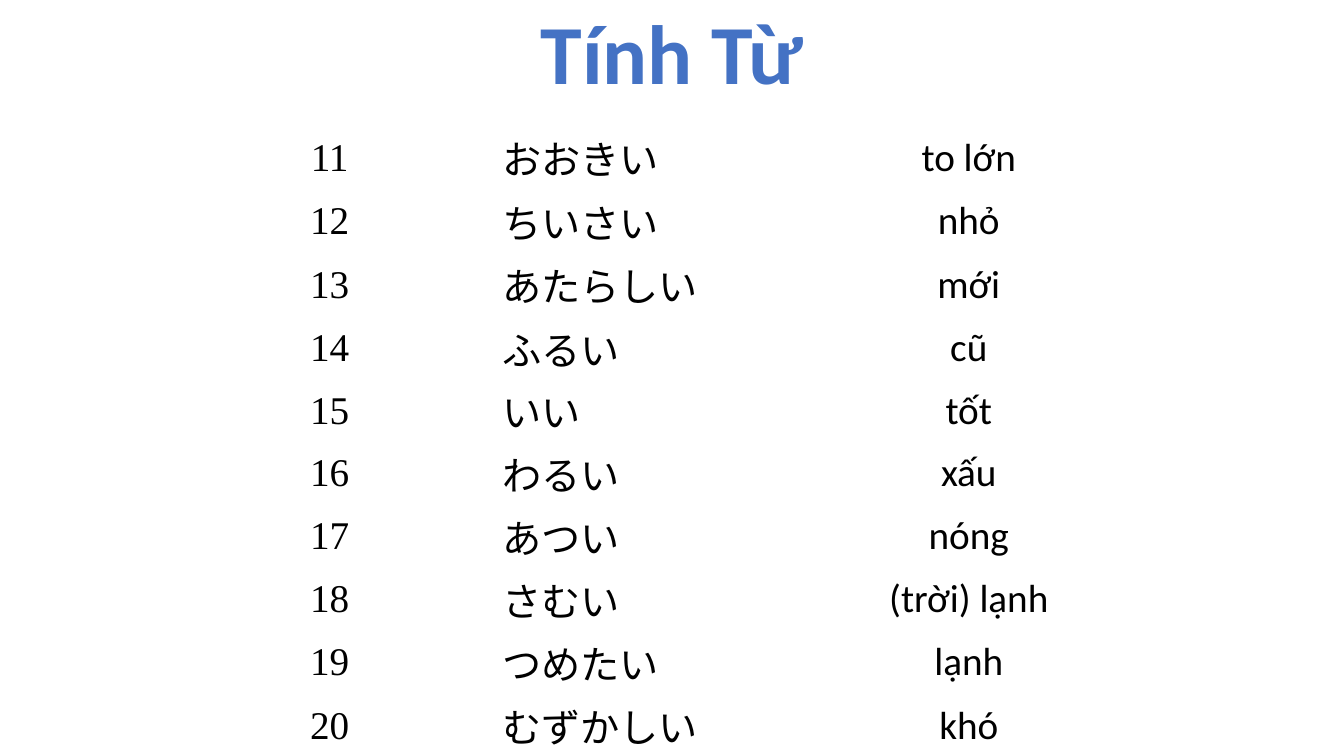
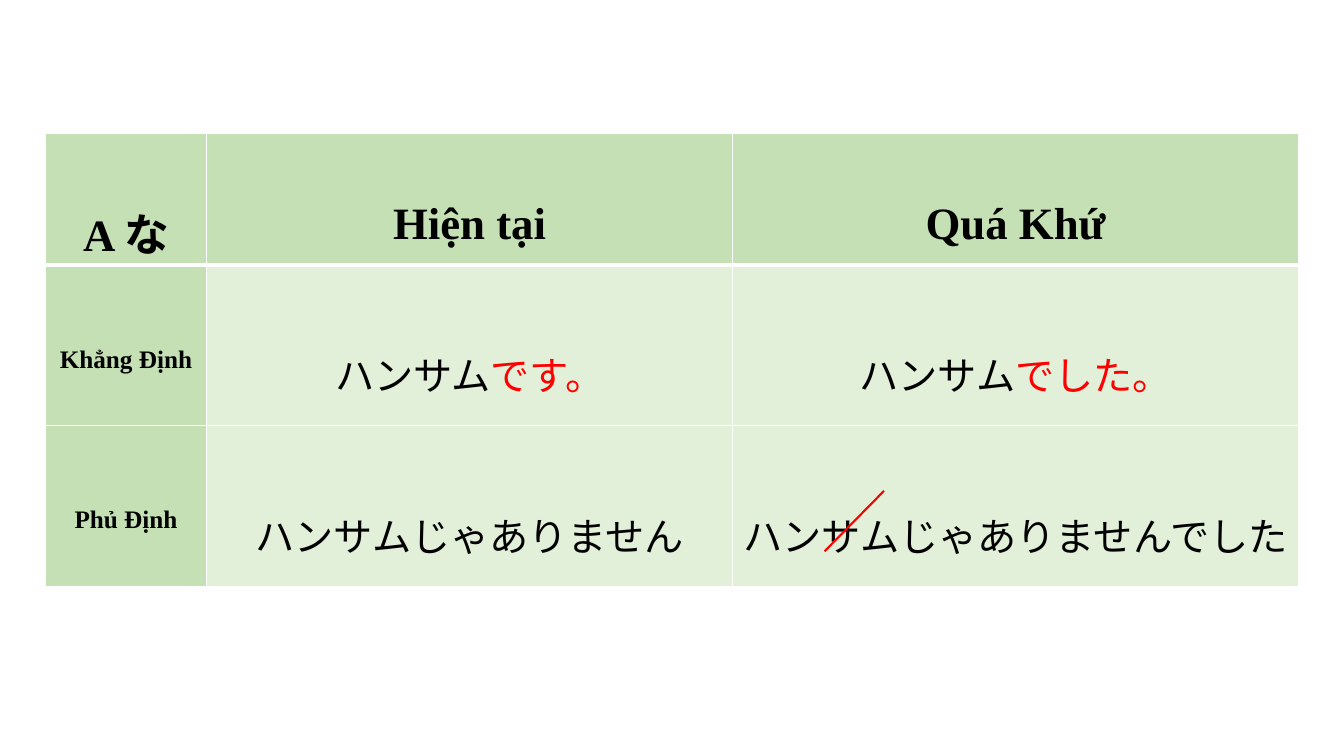
import pptx
import pptx.util
import pptx.dml.color
import pptx.enum.text
import pptx.enum.shapes
import pptx.oxml.ns
from lxml import etree

Pt = pptx.util.Pt
ALIGN = pptx.enum.text.PP_ALIGN
MID = pptx.enum.text.MSO_ANCHOR.MIDDLE
qn = pptx.oxml.ns.qn

# Shared look
SERIF, SANS, KANA = "Times New Roman", "Calibri", "Noto Sans CJK JP"
BLACK, WHITE, RED, BLUE = "000000", "FFFFFF", "FF0000", "4472C4"
GREEN, PALE = "C5E0B4", "E2F0D9"

# Text formats
NUM = dict(name=SERIF, size=Pt(28))
WORD = dict(name=KANA, size=Pt(28))
MEAN = dict(name=SANS, size=Pt(28))
TITLE = dict(name=SANS, size=Pt(60), bold=True)
HEAD = dict(name=SERIF, size=Pt(32), bold=True)
SIDE = dict(name=SERIF, size=Pt(18), bold=True)
STEM = dict(name=SERIF, size=Pt(28), bold=False)
TAIL = dict(name=KANA, size=Pt(28), bold=False)

WORDS = [
    ("おおきい", "to lớn"), ("ちいさい", "nhỏ"), ("あたらしい", "mới"),
    ("ふるい", "cũ"), ("いい", "tốt"), ("わるい", "xấu"), ("あつい", "nóng"),
    ("さむい", "(trời) lạnh"), ("つめたい", "lạnh"), ("むずかしい", "khó"),
]


def stem(end, color):
    return [("ハンサム", STEM, BLACK), (end, TAIL, color)]


# Each cell is a list of runs: text, format, colour
FORMS = [
    [[("A ", HEAD, BLACK), ("な", HEAD | dict(name=KANA), BLACK)],
     [("Hiện tại", HEAD, BLACK)], [("Quá Khứ", HEAD, BLACK)]],
    [[("Khẳng Định", SIDE, BLACK)], stem("です。", RED), stem("でした。", RED)],
    [[("Phủ Định", SIDE, BLACK)], stem("じゃありません", BLACK),
     stem("じゃありませんでした", BLACK)],
]


def rgb(code):
    return pptx.dml.color.RGBColor.from_string(code)


def assign(item, values):
    for key, value in values.items():
        setattr(item, key, value)


def write(frame, runs, align=ALIGN.CENTER, space=1.0):
    para = frame.paragraphs[0]
    assign(para, dict(alignment=align, line_spacing=space))
    for text, form, color in runs:
        run = para.add_run()
        run.text = text
        assign(run.font, form)
        run.font.color.rgb = rgb(color)
        etree.SubElement(run.font._element, qn("a:ea"), typeface=KANA)


def table(slide, left, top, cols, rows):
    shape = slide.shapes.add_table(len(rows), len(cols), Pt(left), Pt(top),
                                   Pt(sum(cols)), Pt(sum(rows)))
    grid = shape.table
    assign(grid, dict(first_row=False, horz_banding=False))
    for col, width in zip(grid.columns, cols):
        col.width = Pt(width)
    for row, height in zip(grid.rows, rows):
        row.height = Pt(height)
    return grid


def paint(cell, color, side, edge):
    assign(cell, dict(vertical_anchor=MID, margin_left=Pt(side),
                      margin_right=Pt(side), margin_top=Pt(edge),
                      margin_bottom=Pt(edge)))
    cell.fill.solid()
    cell.fill.fore_color.rgb = rgb(color)


def border(cell, widths):
    """White borders; widths run left, right, top, bottom."""
    props = cell._tc.get_or_add_tcPr()
    for at, (tag, width) in enumerate(zip("LRTB", widths)):
        line = etree.Element(qn("a:ln" + tag), w=str(Pt(width)))
        fill = etree.SubElement(line, qn("a:solidFill"))
        etree.SubElement(fill, qn("a:srgbClr"), val=WHITE)
        props.insert(at, line)


def title(slide, text, left, top, width, height):
    box = slide.shapes.add_textbox(Pt(left), Pt(top), Pt(width), Pt(height))
    assign(box.text_frame, dict(word_wrap=True, vertical_anchor=MID))
    write(box.text_frame, [(text, TITLE, BLUE)], space=0.9)


def word_list(slide, left, top):
    rows = [45.4] * 3 + [42.7] * 5 + [45.4] * 2
    grid = table(slide, left, top, [242, 238, 195], rows)
    for r, (word, mean) in enumerate(WORDS):
        parts = [(str(11 + r), NUM, ALIGN.CENTER), (word, WORD, ALIGN.LEFT),
                 (mean, MEAN, ALIGN.CENTER)]
        for c, (text, form, align) in enumerate(parts):
            cell = grid.cell(r, c)
            paint(cell, WHITE, 2.2, 2.2)
            write(cell.text_frame, [(text, form, BLACK)], align)


def form_grid(slide, left, top):
    grid = table(slide, left, top, [115, 376, 404], [94.5, 114.7, 114.7])
    for r, row in enumerate(FORMS):
        for c, runs in enumerate(row):
            cell = grid.cell(r, c)
            paint(cell, PALE if r and c else GREEN, 5, 0)
            border(cell, [1, 1, 3 if r == 1 else 1, 1 if r else 3])
            write(cell.text_frame, runs, space=2.0)
    # Red stroke over the last cell
    x, y = left + 599, top + 255.6
    line = slide.shapes.add_connector(
        pptx.enum.shapes.MSO_CONNECTOR.STRAIGHT,
        Pt(x), Pt(y), Pt(x - 42.5), Pt(y + 43.2))
    line.line.color.rgb = rgb(RED)
    line.line.width = Pt(1.5)
    etree.SubElement(line._element.spPr, qn("a:effectLst"))


def main():
    deck = pptx.Presentation()
    assign(deck, dict(slide_width=Pt(960), slide_height=Pt(540)))
    blank = deck.slide_layouts[6]

    # Adjective list
    slide = deck.slides.add_slide(blank)
    word_list(slide, 114.5, 90)
    title(slide, "Tính Từ", 66, -11.5, 828, 104.4)

    # Conjugation table
    slide = deck.slides.add_slide(blank)
    form_grid(slide, 32.5, 95)
    deck.save("out.pptx")


if __name__ == "__main__":
    main()
